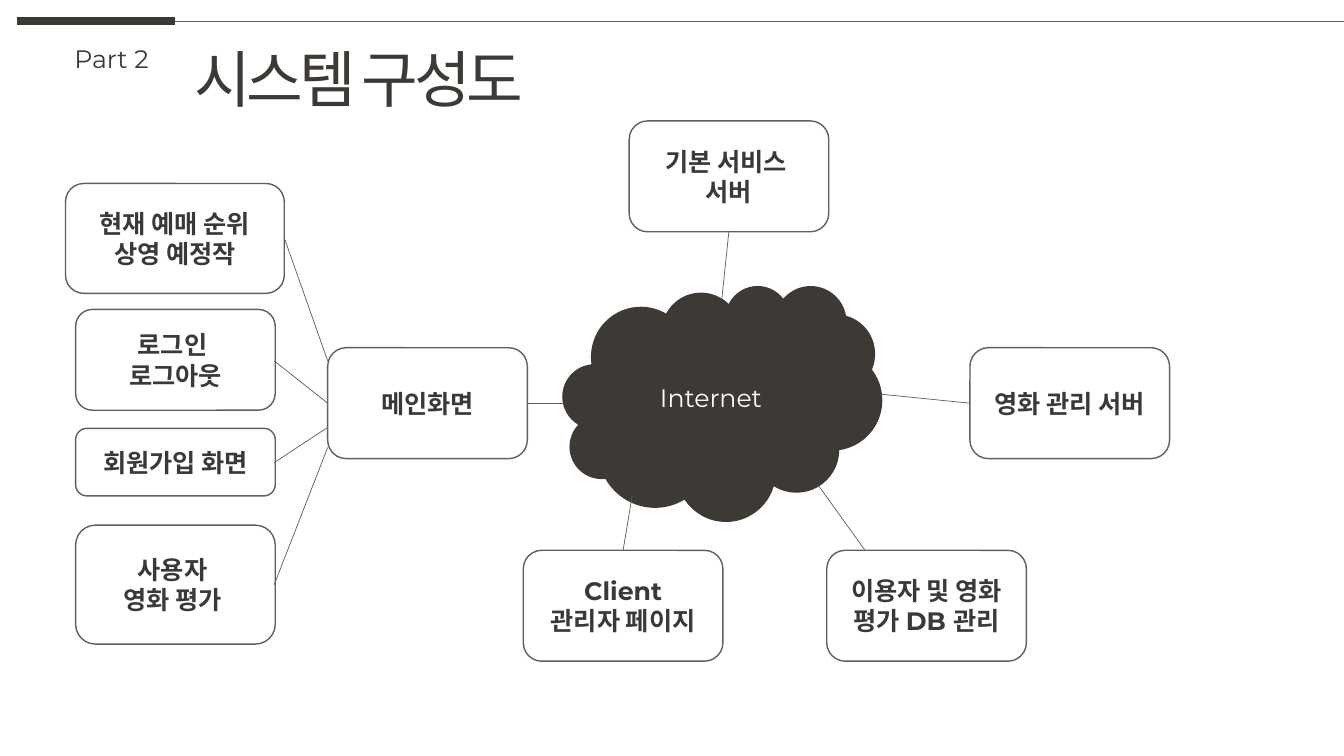
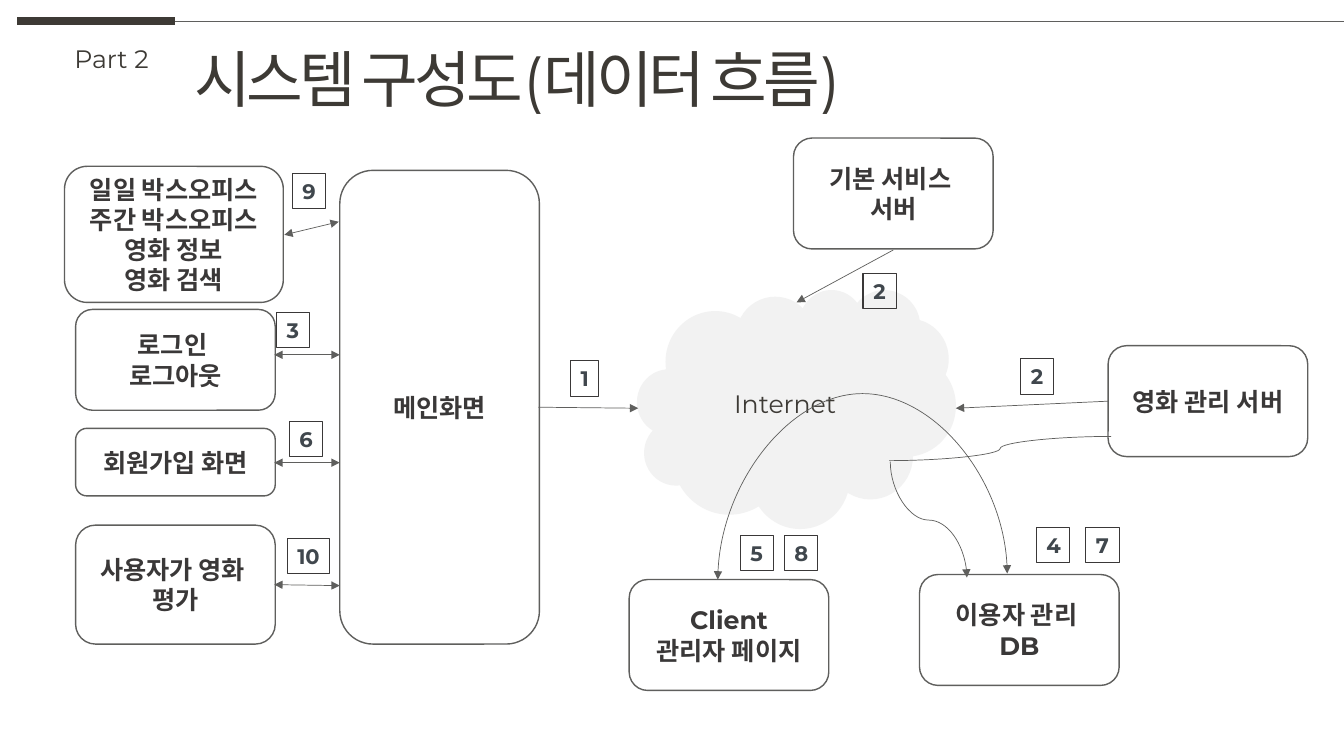
from lxml.etree import SubElement
from pptx import Presentation
from pptx.dml.color import RGBColor
from pptx.enum.shapes import MSO_CONNECTOR, MSO_SHAPE
from pptx.enum.text import MSO_ANCHOR, MSO_AUTO_SIZE, PP_ALIGN
from pptx.oxml.ns import qn
from pptx.util import Inches, Pt

FONT = "Montserrat"
WHITE = RGBColor(0xFF, 0xFF, 0xFF)
DARK = RGBColor(0x3D, 0x3A, 0x35)
INK = RGBColor(0x3A, 0x38, 0x38)
SLATE = RGBColor(0x40, 0x47, 0x4D)
GRAY = RGBColor(0x5F, 0x5F, 0x5D)
PALE = RGBColor(0xF2, 0xF2, 0xF2)

BOX_W, BOX_H = 1.98, 1.1
MENU_W = 2.17


def write(tf, lines, size, color, bold=False, align=PP_ALIGN.CENTER):
    """Fill a text frame with one paragraph per line."""
    for i, line in enumerate(lines):
        p = tf.paragraphs[0] if i == 0 else tf.add_paragraph()
        p.add_run().text = line
        p.alignment = align
        p.font.name = FONT
        p.font.size = Pt(size)
        p.font.bold = bold
        p.font.color.rgb = color


def add_label(slide, left, top, width, height, text, size):
    tf = slide.shapes.add_textbox(Inches(left), Inches(top), Inches(width), Inches(height)).text_frame
    tf.word_wrap = False
    tf.auto_size = MSO_AUTO_SIZE.SHAPE_TO_FIT_TEXT
    write(tf, [text], size, DARK, align=PP_ALIGN.LEFT)
    return tf


def add_block(slide, kind, box, fill=None, line=None, weight=1.0):
    sp = slide.shapes.add_shape(kind, *(Inches(v) for v in box))
    sp.shadow.inherit = False
    if fill is None:
        sp.fill.background()
    else:
        sp.fill.solid()
        sp.fill.fore_color.rgb = fill
    if line is None:
        sp.line.fill.background()
    else:
        sp.line.color.rgb = line
        sp.line.width = Pt(weight)
    sp.text_frame.vertical_anchor = MSO_ANCHOR.MIDDLE
    sp.text_frame.word_wrap = True
    return sp


def add_node(slide, left, top, *lines, width=BOX_W, height=BOX_H):
    sp = add_block(slide, MSO_SHAPE.ROUNDED_RECTANGLE, (left, top, width, height), WHITE, GRAY)
    write(sp.text_frame, lines, 18, INK, bold=True)


def add_cloud(slide, box, fill, color):
    sp = add_block(slide, MSO_SHAPE.CLOUD, box, fill)
    write(sp.text_frame, ["Internet"], 18, color)


def add_tag(slide, left, top, number, width=0.33):
    sp = add_block(slide, MSO_SHAPE.RECTANGLE, (left, top, width, 0.35), line=INK, weight=0.75)
    tf = sp.text_frame
    tf.word_wrap = False
    tf.auto_size = MSO_AUTO_SIZE.SHAPE_TO_FIT_TEXT
    write(tf, [str(number)], 15, SLATE, bold=True)


def add_link(slide, x1, y1, x2, y2, head=False, tail=False,
             kind=MSO_CONNECTOR.STRAIGHT, color=GRAY, weight=0.5):
    cx = slide.shapes.add_connector(kind, Inches(x1), Inches(y1), Inches(x2), Inches(y2))
    cx.line.color.rgb = color
    cx.line.width = Pt(weight)
    ln = cx.line._get_or_add_ln()
    for end, shown in (("a:headEnd", head), ("a:tailEnd", tail)):
        if shown:
            SubElement(ln, qn(end), type="triangle")
    SubElement(cx._element.spPr, qn("a:effectLst"))
    return cx


def add_upright_curve(slide, x1, y1, x2, y2, bend_y, head=False, tail=False):
    """Curve that leaves and arrives vertically, turning at height bend_y."""
    mid_x, mid_y = (x1 + x2) / 2, (y1 + y2) / 2
    dx, dy = x1 - mid_x, y1 - mid_y
    cx = add_link(slide, mid_x - dy, mid_y + dx, mid_x + dy, mid_y - dx,
                  head, tail, MSO_CONNECTOR.CURVE)
    sppr = cx._element.spPr
    sppr.find(qn("a:xfrm")).set("rot", str(270 * 60000))
    geom = sppr.find(qn("a:prstGeom"))
    guides = geom.find(qn("a:avLst"))
    if guides is None:
        guides = SubElement(geom, qn("a:avLst"))
    bend = round((bend_y - y1) / (y2 - y1) * 100000)
    SubElement(guides, qn("a:gd"), name="adj1", fmla=f"val {bend}")


def add_heading(slide, title, width):
    add_link(slide, 0.17, 0.21, 1.74, 0.21, color=DARK, weight=6)
    add_link(slide, 1.74, 0.21, 13.33, 0.21)
    tf = add_label(slide, 1.83, 0.36, width, 0.84, title, 44)
    tf.paragraphs[0].runs[0]._r.get_or_add_rPr().set("spc", "-300")
    add_label(slide, 0.64, 0.38, 0.97, 0.4, "Part 2", 18)


def add_user_menu(slide, left, top, review):
    """Column of user screens below the film listing."""
    add_node(slide, left, top, "로그인 ", "로그아웃", height=1)
    add_node(slide, left, top + 1.18, "회원가입 화면", height=0.67)
    add_node(slide, left, top + 2.14, *review, height=1.18)


def build_structure(slide):
    add_heading(slide, "시스템 구성도", 3.83)
    add_cloud(slide, (5.58, 2.83, 3.17, 2.34), DARK, WHITE)
    add_node(slide, 0.65, 1.82, "현재 예매 순위", "상영 예정작", width=MENU_W, height=1.09)
    add_user_menu(slide, 0.75, 3.07, ("사용자 ", "영화 평가 "))
    add_node(slide, 3.25, 3.45, "메인화면")
    add_node(slide, 8.2, 5.46, "이용자 및 영화 평가 DB 관리")
    add_node(slide, 5.19, 5.46, "Client", "관리자 페이지")
    add_node(slide, 9.62, 3.45, "영화 관리 서버")
    add_node(slide, 6.24, 1.2, "기본 서비스 ", "서버")
    for ends in (
        (2.82, 2.36, 3.25, 3.58), (2.72, 3.58, 3.25, 4), (2.72, 4.59, 3.25, 4.24),
        (2.72, 5.8, 3.25, 4.44), (5.23, 4, 5.59, 4), (8.12, 4.82, 8.58, 5.46),
        (6.27, 4.92, 6.18, 5.46), (7.23, 2.29, 7.16, 2.96), (8.73, 3.91, 9.62, 4),
    ):
        add_link(slide, *ends)


def build_data_flow(slide):
    add_heading(slide, "시스템 구성도(데이터 흐름)", 7.13)
    add_cloud(slide, (6.32, 2.87, 3.16, 2.37), PALE, DARK)
    add_node(slide, 0.64, 1.65, "일일 박스오피스", "주간 박스오피스", "영화 정보", "영화 검색",
             width=MENU_W, height=1.35)
    add_user_menu(slide, 0.75, 3.07, ("사용자가 영화 ", "평가"))
    add_node(slide, 3.37, 1.69, "메인화면", height=4.7)
    add_node(slide, 9.12, 5.7, "이용자 관리 ", "DB")
    add_node(slide, 6.24, 5.75, "Client", "관리자 페이지")
    add_node(slide, 10.99, 3.43, "영화 관리 서버")
    add_node(slide, 7.87, 1.37, "기본 서비스 ", "서버")

    for ends in ((2.72, 3.52, 3.37, 3.52), (2.82, 2.33, 3.36, 2.2),
                 (2.72, 4.59, 3.37, 4.59), (2.72, 5.8, 3.37, 5.81)):
        add_link(slide, *ends, head=True, tail=True)
    for ends in ((5.34, 4.04, 6.33, 4.05), (8.86, 2.48, 7.9, 3), (10.99, 3.98, 9.48, 4.05)):
        add_link(slide, *ends, tail=True)

    for left, top, number in (
        (8.56, 2.71, 2), (10.12, 3.56, 2), (2.74, 3.1, 3), (10.28, 5.23, 4), (7.34, 5.31, 5),
        (2.87, 4.18, 6), (10.77, 5.23, 7), (7.78, 5.31, 8), (2.9, 1.72, 9),
    ):
        add_tag(slide, left, top, number)
    add_tag(slide, 5.66, 3.58, 1, width=0.28)
    add_tag(slide, 2.85, 5.34, 10, width=0.42)

    add_upright_curve(slide, 9.99, 5.69, 7.12, 5.75, bend_y=3.9, head=True, tail=True)
    add_link(slide, 11.02, 4.33, 8.82, 4.57, kind=MSO_CONNECTOR.CURVE)
    add_upright_curve(slide, 8.83, 4.58, 9.59, 5.73, bend_y=5.16, tail=True)


def main():
    prs = Presentation()
    prs.slide_width, prs.slide_height = Inches(13.33), Inches(7.5)
    for build in (build_structure, build_data_flow):
        build(prs.slides.add_slide(prs.slide_layouts[6]))
    prs.save("out.pptx")


if __name__ == "__main__":
    main()
